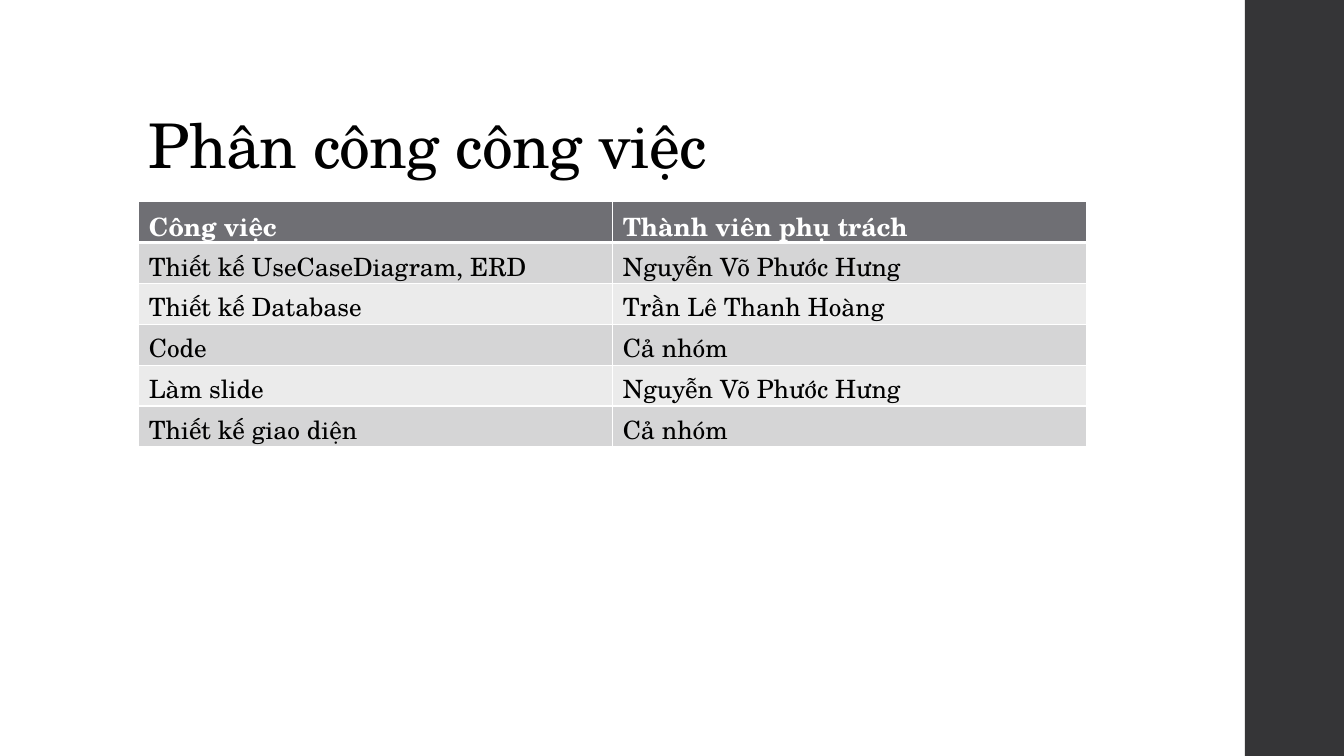
"""Build the slide that assigns project tasks to team members."""
from dataclasses import dataclass

from lxml.etree import SubElement
from pptx import Presentation
from pptx.dml.color import RGBColor
from pptx.enum.shapes import MSO_SHAPE
from pptx.enum.text import MSO_ANCHOR
from pptx.oxml.ns import qn
from pptx.slide import Slide
from pptx.table import _Cell
from pptx.text.text import _Paragraph, _Run
from pptx.util import Cm, Pt

FONT = "TeX Gyre Schola"
COLOURS = {
    "black": "000000",
    "white": "FFFFFF",
    "sidebar": "353537",
    "header": "6F6F74",
    "odd": "D5D5D6",
    "even": "EBEBEB",
}


@dataclass(frozen=True)
class Assignment:
    task: str
    member: str


HEADER = Assignment("Công việc", "Thành viên phụ trách")
ASSIGNMENTS = [
    Assignment("Thiết kế UseCaseDiagram, ERD", "Nguyễn Võ Phước Hưng"),
    Assignment("Thiết kế Database", "Trần Lê Thanh Hoàng"),
    Assignment("Code", "Cả nhóm"),
    Assignment("Làm slide", "Nguyễn Võ Phước Hưng"),
    Assignment("Thiết kế giao diện", "Cả nhóm"),
]


def colour(name: str) -> RGBColor:
    return RGBColor.from_string(COLOURS[name])


def add_span(para: _Paragraph, text: str, size: int, ink: str, bold: bool = False) -> _Run:
    span = para.add_run()
    span.text = text
    span.font.name = FONT
    span.font.size = Pt(size)
    span.font.bold = bold
    span.font.color.rgb = colour(ink)
    return span


def add_sidebar(page: Slide) -> None:
    sidebar = page.shapes.add_shape(MSO_SHAPE.RECTANGLE, Cm(31.37), Cm(0), Cm(2.5), Cm(19.05))
    sidebar.shadow.inherit = False
    sidebar.fill.solid()
    sidebar.fill.fore_color.rgb = colour("sidebar")
    sidebar.line.fill.background()


def add_title(page: Slide, text: str) -> None:
    box = page.shapes.add_textbox(Cm(3.5), Cm(1.02), Cm(26.92), Cm(3.68))
    box.text_frame.word_wrap = True
    box.text_frame.vertical_anchor = MSO_ANCHOR.BOTTOM
    para = box.text_frame.paragraphs[0]
    para.line_spacing = 0.9
    span = add_span(para, text, 44, "black")
    span.font._element.set("spc", "-50")


def set_borders(cell: _Cell, top: int, bottom: int) -> None:
    properties = cell._tc.get_or_add_tcPr()
    widths = {"a:lnL": 1, "a:lnR": 1, "a:lnT": top, "a:lnB": bottom}
    for position, (side, width) in enumerate(widths.items()):
        border = SubElement(properties, qn(side), w=str(Pt(width)))
        fill = SubElement(border, qn("a:solidFill"))
        SubElement(fill, qn("a:srgbClr"), val=COLOURS["white"])
        properties.insert(position, border)


def fill_row(cells: list[_Cell], assignment: Assignment, index: int) -> None:
    is_header = index == 0
    shade = "header" if is_header else "odd" if index % 2 else "even"
    for cell, text in zip(cells, (assignment.task, assignment.member)):
        cell.fill.solid()
        cell.fill.fore_color.rgb = colour(shade)
        set_borders(cell, top=3 if index == 1 else 1, bottom=3 if is_header else 1)
        ink = "white" if is_header else "black"
        add_span(cell.text_frame.paragraphs[0], text, 18, ink, is_header)


def add_assignments(page: Slide) -> None:
    rows = [HEADER, *ASSIGNMENTS]
    frame = page.shapes.add_table(
        len(rows), 2, Cm(3.5), Cm(5.08), Cm(23.88), Cm(1.03) * len(rows)
    )
    for index, (row, assignment) in enumerate(zip(frame.table.rows, rows)):
        fill_row(list(row.cells), assignment, index)


def main() -> None:
    deck = Presentation()
    deck.slide_width, deck.slide_height = Cm(33.87), Cm(19.05)
    page = deck.slides.add_slide(deck.slide_layouts[6])
    add_sidebar(page)
    add_title(page, "Phân công công việc")
    add_assignments(page)
    deck.save("out.pptx")


if __name__ == "__main__":
    main()
